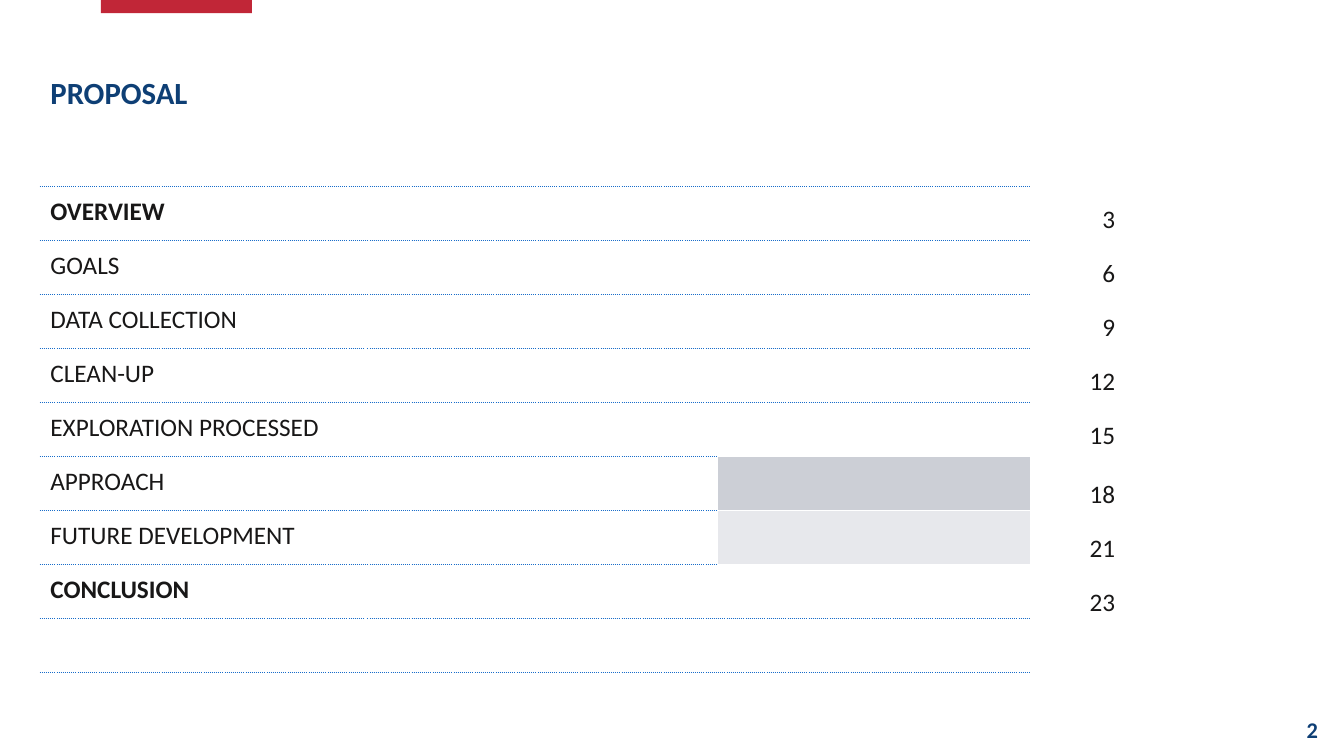
from dataclasses import dataclass

from lxml import etree
from pptx import Presentation
from pptx import util as u
from pptx.dml.color import RGBColor
from pptx.enum import shapes, text
from pptx.oxml import ns


@dataclass(frozen=True)
class Theme:
    font: str = "Calibri"
    navy: str = "0E3F75"
    ink: str = "181717"
    red: str = "C12637"
    rule: str = "186DCA"
    white: str = "FFFFFF"
    title: int = 22
    body: int = 18
    number: int = 16


# label, page, bold
ENTRIES = [
    ("OVERVIEW", 3, True),
    ("GOALS", 6, False),
    ("DATA COLLECTION", 9, False),
    ("CLEAN-UP", 12, False),
    ("EXPLORATION PROCESSED", 15, False),
    ("APPROACH", 18, False),
    ("FUTURE DEVELOPMENT", 21, False),
    ("CONCLUSION", 23, True),
]
FIRST_ENTRY = 2
COLUMNS = [24.23, 26.18, 23.26, 7.05]
ROWS = [8.8] + [7.15] * 11
# first and last merged column of each row
MERGES = [(0, 1)] * 4 + [(0, 2)] + [(1, 2)] * 2 + [(0, 1)] * 2 + [(0, 2)] + [(1, 2)] * 2
SHADED = {7: "CCCFD6", 8: "E7E8EC"}
PAGE_COLUMN = 3


class AgendaSlide:
    """Places elements by percent of the slide's width and height."""

    def __init__(self, prs, theme):
        self.prs, self.theme = prs, theme
        self.s = prs.slides.add_slide(prs.slide_layouts[6])

    def x(self, percent):
        return round(self.prs.slide_width * percent / 100)

    def y(self, percent):
        return round(self.prs.slide_height * percent / 100)

    def box(self, left, top, width, height):
        return self.x(left), self.y(top), self.x(width), self.y(height)

    def set_text(self, tf, words, size, color, bold=False, align=text.PP_ALIGN.LEFT):
        tf.text = words
        p = tf.paragraphs[0]
        p.alignment = align
        font = p.runs[0].font
        font.name, font.size, font.bold = self.theme.font, u.Pt(size), bold
        font.color.rgb = RGBColor.from_string(color)
        return p

    def bar(self, *place):
        sp = self.s.shapes.add_shape(shapes.MSO_SHAPE.RECTANGLE, *self.box(*place))
        sp.shadow.inherit = False
        sp.fill.solid()
        sp.fill.fore_color.rgb = RGBColor.from_string(self.theme.red)
        sp.line.fill.background()

    def slide_number(self, number, *place):
        tf = self.s.shapes.add_textbox(*self.box(*place)).text_frame
        tf.word_wrap = True
        tf.vertical_anchor = text.MSO_ANCHOR.MIDDLE
        self.set_text(tf, str(number), self.theme.number, self.theme.navy, True,
                      text.PP_ALIGN.RIGHT)

    def table(self, left, top):
        place = self.box(left, top, sum(COLUMNS), sum(ROWS))
        table = self.s.shapes.add_table(len(ROWS), len(COLUMNS), *place).table
        table.first_row = table.horz_banding = False
        for column, width in zip(table.columns, COLUMNS):
            column.width = self.x(width)
        for r, height in enumerate(ROWS):
            table.rows[r].height = self.y(height)
            for c in range(len(COLUMNS)):
                self.style_cell(table.cell(r, c), r, c)
            first, last = MERGES[r]
            table.cell(r, first).merge(table.cell(r, last))
        return table

    def style_cell(self, cell, r, c):
        for side in "LR":
            self.border(cell, side, self.theme.white, 1)
        for side, edge in (("T", r), ("B", r + 1)):
            if self.is_ruled(edge, c):
                self.border(cell, side, self.theme.rule, 1 if edge in (5, 6) else 0.75, "sysDot")
            else:
                self.border(cell, side, self.theme.white, 1)
        if c == 2 and r in SHADED:
            cell.fill.solid()
            cell.fill.fore_color.rgb = RGBColor.from_string(SHADED[r])
        else:
            cell.fill.background()

    def is_ruled(self, edge, c):
        """Rules frame every entry, leaving out the page column and the shaded cells."""
        beside_shading = c == 2 and (edge in SHADED or edge - 1 in SHADED)
        return FIRST_ENTRY <= edge < len(ROWS) and c < PAGE_COLUMN and not beside_shading

    def border(self, cell, side, color, points, dash="solid"):
        tc_pr = cell._tc.get_or_add_tcPr()
        line = etree.SubElement(tc_pr, ns.qn(f"a:ln{side}"), w=str(u.Pt(points)))
        fill = etree.SubElement(line, ns.qn("a:solidFill"))
        etree.SubElement(fill, ns.qn("a:srgbClr"), val=color)
        etree.SubElement(line, ns.qn("a:prstDash"), val=dash)

    def margins(self, cell, left, right, bottom):
        cell.margin_left, cell.margin_right = u.Inches(left), u.Inches(right)
        cell.margin_top, cell.margin_bottom = u.Inches(0.1), u.Inches(bottom)

    def heading(self, cell, words):
        self.margins(cell, 0.1, 0, 0.05)
        self.set_text(cell.text_frame, words, self.theme.title, self.theme.navy, True)

    def entry(self, table, r, label, page, bold):
        name, number = table.cell(r, 0), table.cell(r, PAGE_COLUMN)
        self.margins(name, 0, 0, 0.05)
        p = self.set_text(name.text_frame, label, self.theme.body, self.theme.ink, bold)
        p_pr = p._p.get_or_add_pPr()
        p_pr.set("marL", str(u.Inches(0.1)))
        p_pr.set("indent", "0")
        self.margins(number, 0.1, 0.1, 0 if r >= min(SHADED) else 0.05)
        number.vertical_anchor = text.MSO_ANCHOR.BOTTOM
        self.set_text(number.text_frame, str(page), self.theme.body, self.theme.ink,
                      align=text.PP_ALIGN.RIGHT)


def main():
    prs = Presentation()
    prs.slide_width, prs.slide_height = u.Inches(13.33), u.Inches(7.5)
    agenda = AgendaSlide(prs, Theme())
    agenda.bar(7.5, 0, 11.25, 1.73)
    table = agenda.table(3, 8.67)
    agenda.heading(table.cell(0, 0), "PROPOSAL")
    for r, (label, page, bold) in enumerate(ENTRIES, FIRST_ENTRY):
        agenda.entry(table, r, label, page, bold)
    agenda.slide_number(2, 91.97, 94.67, 6.83, 3.6)
    prs.save("out.pptx")


if __name__ == "__main__":
    main()
